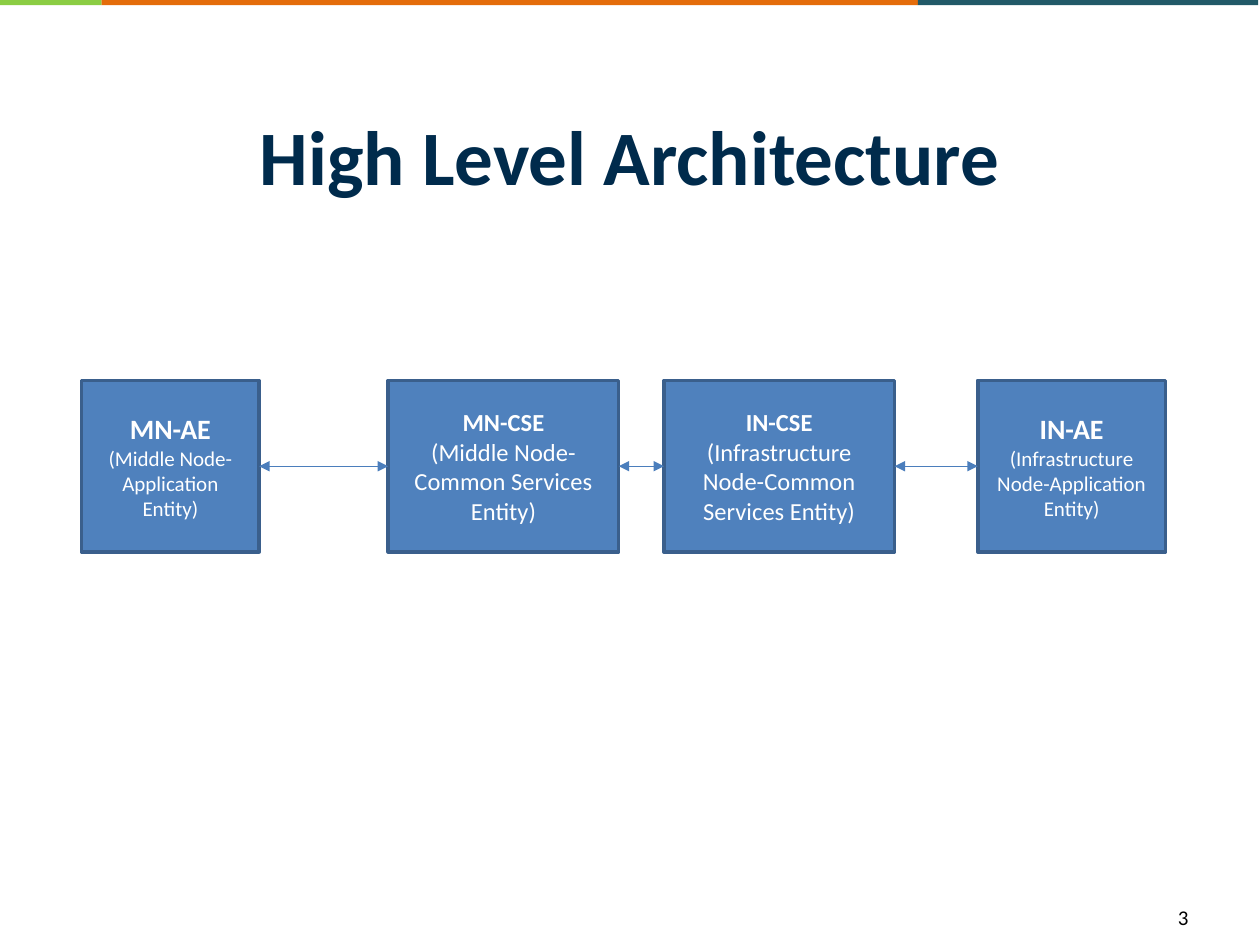
"""Build the High Level Architecture slide."""
from itertools import pairwise

from lxml import etree
from pptx import Presentation
from pptx.dml.color import RGBColor
from pptx.enum.shapes import MSO_CONNECTOR, MSO_SHAPE
from pptx.enum.text import MSO_ANCHOR, PP_ALIGN
from pptx.oxml.ns import qn
from pptx.util import Pt

RECT = MSO_SHAPE.RECTANGLE
LINE = MSO_CONNECTOR.STRAIGHT
MIDDLE = MSO_ANCHOR.MIDDLE
CENTER = PP_ALIGN.CENTER
LEFT, RIGHT = 1, 3


def paint(target, color):
    target.rgb = RGBColor.from_string(color)


def write(para, text, size, color, bold=False):
    run = para.add_run()
    run.text = text
    run.font.name = "Calibri"
    run.font.size = Pt(size)
    run.font.bold = bold
    paint(run.font.color, color)


deck = Presentation()
deck.slide_width, deck.slide_height = Pt(720), Pt(540)
slide = deck.slides.add_slide(deck.slide_layouts[5])
shapes = slide.shapes

bars = [(58, 466.5, "E46C0A"), (524.5, 194.5, "215968"), (-3.5, 61.5, "8BCD43")]
for left, width, color in bars:
    bar = shapes.add_shape(RECT, Pt(left), Pt(-0.7), Pt(width), Pt(3.6))
    bar.shadow.inherit = False
    bar.fill.solid()
    paint(bar.fill.fore_color, color)
    bar.line.fill.background()

title = shapes.title
title.left, title.top, title.width, title.height = Pt(36), Pt(49), Pt(648), Pt(79)
title.text_frame.vertical_anchor = MIDDLE
para = title.text_frame.paragraphs[0]
para.alignment = CENTER
write(para, "High Level Architecture", 44, "002B4C", True)

number = shapes.add_textbox(Pt(666), Pt(513.4), Pt(46), Pt(29))
number.text_frame.word_wrap = True
write(number.text_frame.paragraphs[0], "3", 12, "000000")

nodes = [
    (46.6, 101.5, "MN-AE", 16, "(Middle Node-Application Entity)", 12),
    (221.8, 131.8, "MN-CSE", 14, "(Middle Node- Common Services Entity)", 14),
    (379.4, 131.8, "IN-CSE", 14, "(Infrastructure Node-Common Services Entity)", 14),
    (558.7, 107.3, "IN-AE", 16, "(Infrastructure Node-Application Entity)", 12),
]
boxes = []
for left, width, name, big, label, small in nodes:
    box = shapes.add_shape(RECT, Pt(left), Pt(217.4), Pt(width), Pt(98))
    box.shadow.inherit = False
    box.fill.solid()
    paint(box.fill.fore_color, "4F81BD")
    paint(box.line.color, "3A5F8C")
    box.line.width = Pt(2)
    frame = box.text_frame
    frame.word_wrap = True
    frame.vertical_anchor = MIDDLE
    head, body = frame.paragraphs[0], frame.add_paragraph()
    head.alignment = body.alignment = CENTER
    write(head, name, big, "FFFFFF", True)
    write(body, label, small, "FFFFFF")
    boxes.append(box)

for first, second in pairwise(boxes):
    link = shapes.add_connector(LINE, 0, 0, 0, 0)
    link.begin_connect(first, RIGHT)
    link.end_connect(second, LEFT)
    paint(link.line.color, "4B7EBC")
    link.line.width = Pt(0.75)
    stroke = link.line._get_or_add_ln()
    for end in ("a:headEnd", "a:tailEnd"):
        etree.SubElement(stroke, qn(end), type="triangle")
    etree.SubElement(link._element.spPr, qn("a:effectLst"))

deck.save("out.pptx")
